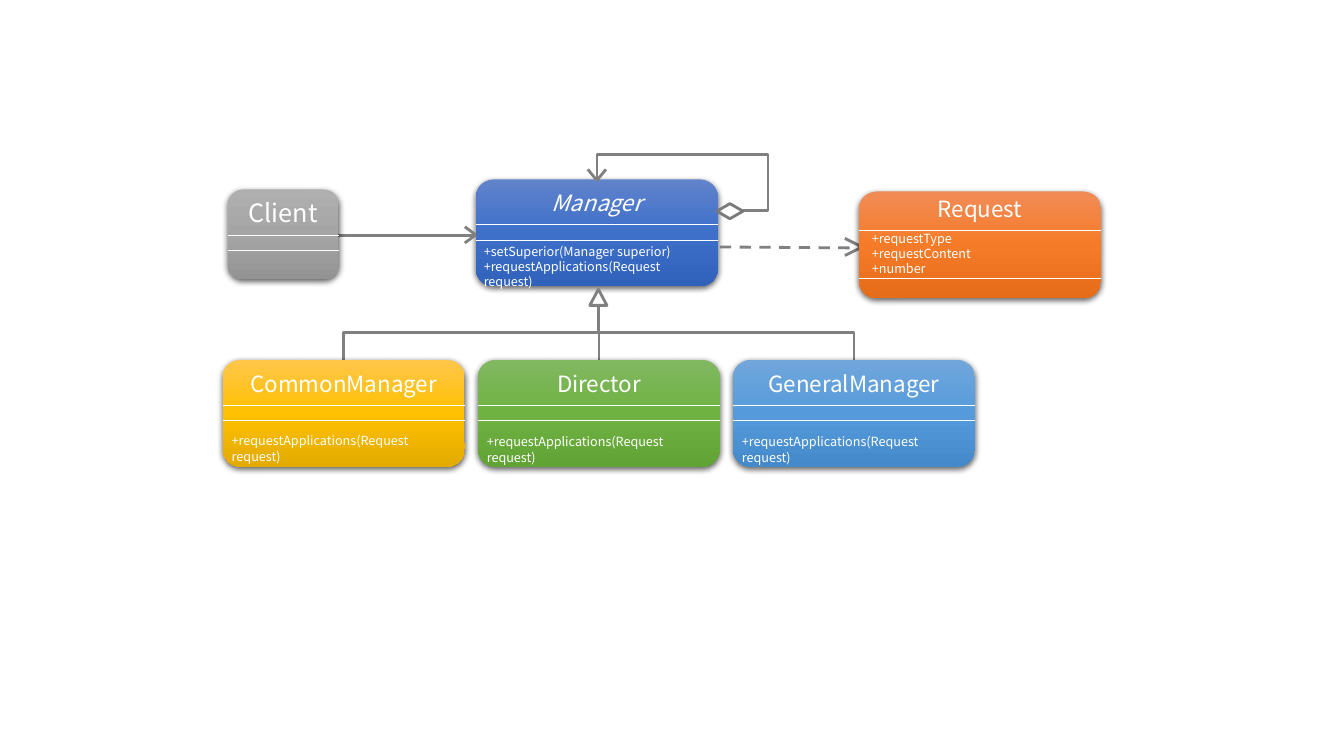
from lxml.etree import SubElement
from pptx import Presentation
from pptx.dml.color import RGBColor
from pptx.enum.dml import MSO_LINE
from pptx.enum.shapes import MSO_CONNECTOR, MSO_SHAPE
from pptx.enum.text import MSO_AUTO_SIZE, PP_ALIGN
from pptx.oxml.ns import qn
from pptx.util import Inches, Pt

CELL = 0.1  # inches per grid column and row
FONT = "Noto Sans CJK SC"
COLORS = {
    "white": "FFFFFF",
    "line": "808080",
    "diamond": "7A7A7A",
    "shadow": "000000",
    "gray": ("AFAFAF", "A5A5A5", "939393"),
    "blue": ("6183CB", "3E70CA", "3062BB"),
    "gold": ("FFC64B", "FFC000", "E3AB00"),
    "green": ("81B861", "6FB242", "62A336"),
    "sky": ("71A6DB", "559BDB", "448ACA"),
    "orange": ("F18C57", "F67B28", "E56C19"),
}


def grid(*cells):
    return [Inches(cell * CELL) for cell in cells]


class ClassDiagram:
    def __init__(self, page):
        self.page = page
        self.shapes = page.shapes

    def line(self, start, end, color="line", width=2, dash=None, kind=MSO_CONNECTOR.STRAIGHT):
        connector = self.shapes.add_connector(kind, *grid(*start, *end))
        connector.line.color.rgb = RGBColor.from_string(COLORS[color])
        connector.line.width = Pt(width)
        if dash:
            connector.line.dash_style = dash
        SubElement(connector._element.spPr, qn("a:effectLst"))
        return connector

    def elbow(self, start, end, bends=(0.5,)):
        """Draw a bent line that leaves its start vertically."""
        (x1, y1), (x2, y2) = start, end
        across, along = abs(x2 - x1), abs(y2 - y1)
        left, top = (x1 + x2 - along) / 2, (y1 + y2 - across) / 2
        connector = self.line((left, top), (left + along, top + across), kind=MSO_CONNECTOR.ELBOW)
        properties = connector._element.spPr
        frame = properties.find(qn("a:xfrm"))
        frame.set("rot", str(270 * 60000))
        frame.set("flipH", str(int(y2 > y1)))
        frame.set("flipV", str(int(x2 < x1)))
        geometry = properties.find(qn("a:prstGeom"))
        geometry.set("prst", f"bentConnector{len(bends) + 2}")
        guides = geometry.find(qn("a:avLst"))
        for number, bend in enumerate(bends, 1):
            SubElement(guides, qn("a:gd"), name=f"adj{number}", fmla=f"val {round(bend * 100000)}")

    def arrowhead(self, tip, length, spread, down=False):
        """Draw two open wings that meet at a tip pointing right or down."""
        x, y = tip
        for side in (-spread, spread):
            wing = (x + side, y - length) if down else (x - length, y + side)
            self.line(wing, tip)

    def outline(self, kind, area, color):
        shape = self.shapes.add_shape(kind, *grid(*area))
        shape.shadow.inherit = False
        shape.fill.background()
        shape.line.color.rgb = RGBColor.from_string(COLORS[color])
        shape.line.width = Pt(2)

    def card(self, area, color):
        card = self.shapes.add_shape(MSO_SHAPE.ROUNDED_RECTANGLE, *grid(*area))
        card.fill.gradient()
        card.fill.gradient_angle = 270
        card.line.fill.background()
        card.shadow.inherit = False
        properties = card._element.spPr
        stops = properties.find(f".//{qn('a:gsLst')}")
        stops.clear()
        for position, shade in zip((0, 50000, 100000), COLORS[color]):
            stop = SubElement(stops, qn("a:gs"), pos=str(position))
            SubElement(stop, qn("a:srgbClr"), val=shade)
        shadow = SubElement(properties.find(qn("a:effectLst")), qn("a:outerShdw"),
                            blurRad=str(Pt(4.5)), dist=str(Pt(1.5)), dir="5400000",
                            algn="ctr", rotWithShape="0")
        tint = SubElement(shadow, qn("a:srgbClr"), val=COLORS["shadow"])
        SubElement(tint, qn("a:alpha"), val="63000")

    def text(self, area, lines, size, align=PP_ALIGN.LEFT, italic=None):
        box = self.shapes.add_textbox(*grid(*area))
        frame = box.text_frame
        frame.word_wrap = True
        frame.auto_size = MSO_AUTO_SIZE.SHAPE_TO_FIT_TEXT
        frame.text = "\n".join(lines)
        for para in frame.paragraphs:
            para.alignment = align
            para.font.name = FONT
            para.font.size = Pt(size)
            para.font.italic = italic
            para.font.color.rgb = RGBColor.from_string(COLORS["white"])

    def class_box(self, name, color, corner, size=(24, 10.6), rules=(4.5, 6), title=0.5,
                  title_size=16, italic=None, members=(), inset=(-0.1, 6.9)):
        """Group a card, its title, dividing rules and members, offset from its corner."""
        (left, top), (width, height) = corner, size
        self.shapes = self.page.shapes.add_group_shape().shapes
        self.card((left, top, width, height), color)
        for rule in rules:
            self.line((left, top + rule), (left + width, top + rule), "white", 0.5)
        self.text((left, top + title, width, 1 + title_size / 6), [name], title_size,
                  PP_ALIGN.CENTER, italic)
        if members:
            self.text((left + inset[0], top + inset[1], width, 1 + 1.5 * len(members)), members, 9)
        self.shapes = self.page.shapes


def main():
    deck = Presentation()
    deck.slide_width, deck.slide_height = Inches(13.33), Inches(7.5)
    diagram = ClassDiagram(deck.slides.add_slide(deck.slide_layouts[6]))
    request_call = "+requestApplications(Request request)"

    diagram.class_box("Manager", "blue", (47.2, 17.8), italic=True, inset=(-0.2, 5.9),
                      members=["+setSuperior(Manager superior)", request_call])

    subclasses = [("CommonManager", "gold", 6.8), ("Director", "green", 6.9),
                  ("GeneralManager", "sky", 6.9)]
    for index, (name, color, member_top) in enumerate(subclasses):
        left = 22.1 + 25.3 * index
        diagram.elbow((left + 12, 35.7), (59.4, 30.3))
        diagram.class_box(name, color, (left, 35.7), members=[request_call],
                          inset=(-0.1, member_top))
    diagram.outline(MSO_SHAPE.ISOSCELES_TRIANGLE, (58.5, 28.7, 1.7, 1.6), "line")

    diagram.line((31.3, 23.4), (47.2, 23.4))
    diagram.arrowhead((47.2, 23.3), 1.1, 0.8)
    diagram.class_box("Client", "gray", (22.6, 18.8), (11, 8.9), (4.6, 6), 0.3, 18)

    diagram.elbow((59.2, 17.8), (73.7, 20.9), (-0.8, 1.17))
    diagram.arrowhead((59.2, 17.9), 1.1, 0.9, down=True)
    diagram.outline(MSO_SHAPE.DIAMOND, (71.1, 20.2, 2.6, 1.5), "diamond")

    diagram.line((71.4, 24.5), (85.4, 24.6), dash=MSO_LINE.DASH)
    diagram.arrowhead((85.5, 24.5), 1.7, 0.85)
    diagram.class_box("Request", "orange", (85.2, 19), rules=(3.9, 8.6), title=-0.1,
                      members=["+requestType", "+requestContent", "+number"], inset=(0.3, 3.4))

    deck.save("out.pptx")


if __name__ == "__main__":
    main()
